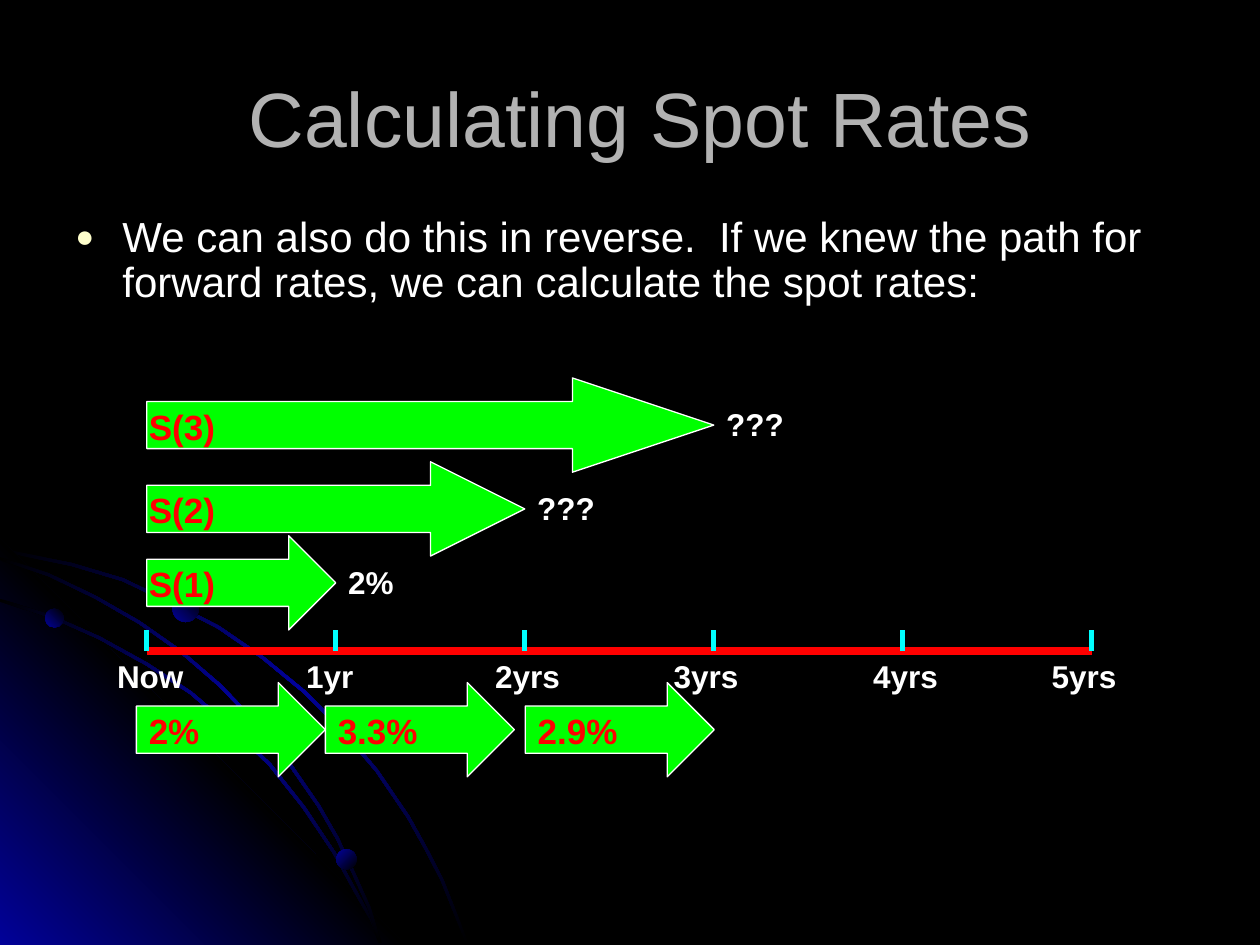
import math
from copy import deepcopy
from dataclasses import dataclass

from lxml import etree
from pptx import Presentation
from pptx.dml.color import RGBColor
from pptx.enum.shapes import MSO_CONNECTOR, MSO_SHAPE
from pptx.enum.text import MSO_ANCHOR, PP_ALIGN
from pptx.oxml.ns import qn
from pptx.util import Cm, Pt

STRAIGHT = MSO_CONNECTOR.STRAIGHT
ELLIPSE, RIGHT_ARROW = MSO_SHAPE.OVAL, MSO_SHAPE.RIGHT_ARROW
CENTER, LEFT = PP_ALIGN.CENTER, PP_ALIGN.LEFT
MIDDLE, TOP = MSO_ANCHOR.MIDDLE, MSO_ANCHOR.TOP


@dataclass(frozen=True)
class Theme:
    font: str = "Arial"
    black: str = "000000"
    glow: str = "010199"
    title: str = "B2B2B2"
    text: str = "FFFFFF"
    bullet: str = "FFFFCC"
    axis: str = "FF0000"
    tick: str = "00FFFF"
    arrow: str = "00FF00"
    rate: str = "FF0000"
    title_size: float = 44
    body_size: float = 24
    rate_size: float = 20
    label_size: float = 18


THEME = Theme()

# Timeline geometry in centimetres
START, YEAR, AXIS_Y, TICK_TOP = 2.96, 3.81, 13.12, 12.7
ARROW_HEIGHT, LABEL_DROP = 1.9, 0.42

# Label, distance left of its tick, width
TICKS = [("Now", 0.85, 2.1), ("1yr", 0.85, 1.7), ("2yrs", 0.85, 1.9),
         ("3yrs", 1.06, 1.9), ("4yrs", 0.85, 1.9), ("5yrs", 1.06, 1.9)]
# Years, top, value
SPOT_RATES = [(1, 10.8, "2%"), (2, 9.31, "???"), (3, 7.62, "???")]
# Left, value
FORWARD_RATES = [(2.75, "2%"), (6.56, "3.3%"), (10.59, "2.9%")]
FORWARD_TOP = 13.76

# Outer edges of the background orbits
OUTER_ORBIT = [(0, 11.05), (0.71, 11.2), (1.45, 11.35), (2.49, 11.66), (3.45, 12.12),
               (4.42, 12.62), (5.31, 13.23), (6.15, 13.92), (6.91, 14.68), (7.62, 15.52),
               (8.26, 16.46), (8.61, 17.09), (8.94, 17.73), (9.19, 18.36), (9.45, 19.02)]
INNER_ORBIT = [(0, 12.07), (1.04, 12.4), (2.01, 12.83), (2.97, 13.36), (3.86, 13.94),
               (4.67, 14.63), (5.46, 15.39), (6.15, 16.26), (6.76, 17.17), (7.26, 18.08),
               (7.52, 18.54), (7.7, 19.02)]
MIDDLE_ORBIT = [(0, 11.23), (0.99, 11.56), (1.93, 12.01), (2.82, 12.52), (3.66, 13.11),
                (4.45, 13.79), (5.18, 14.55), (5.82, 15.32), (6.45, 16.23), (6.83, 16.89),
                (7.16, 17.6), (7.47, 18.29), (7.7, 19.02)]
ORBIT_WIDTH = 0.06
# Left, top, diameter, gradient angle
PLANETS = [(0.91, 12.27, 0.38, 225), (6.78, 17.12, 0.41, 135), (3.48, 12.01, 0.53, 225)]


def rgb(color):
    return RGBColor.from_string(color)


def paint_gradient(shape, colors, angle):
    """Spread the colours evenly along the angle, without outline."""
    shape.shadow.inherit = False
    shape.line.fill.background()
    shape.fill.gradient()
    shape.fill.gradient_angle = angle
    stop_list = shape._element.spPr.find(qn("a:gradFill")).find(qn("a:gsLst"))
    while len(stop_list) < len(colors):
        stop_list.append(deepcopy(stop_list[0]))
    for index, (stop, color) in enumerate(zip(shape.fill.gradient_stops, colors)):
        stop.position = index / (len(colors) - 1)
        stop.color.rgb = rgb(color)


def add_outline(page, points, colors, angle):
    corners = [(Cm(x), Cm(y)) for x, y in points]
    builder = page.shapes.build_freeform(*corners[0])
    builder.add_line_segments(corners[1:], close=True)
    paint_gradient(builder.convert_to_shape(), colors, angle)


def add_orbit(page, edge):
    """Draw a thin band whose width turns from vertical to horizontal."""
    inner = []
    for index, (x, y) in enumerate(edge):
        turn = index / (len(edge) - 1) * math.pi / 2
        inner.append((x - ORBIT_WIDTH * math.sin(turn), y + ORBIT_WIDTH * math.cos(turn)))
    add_outline(page, edge + inner[::-1], [THEME.black, THEME.glow, THEME.black], 135)


def add_text(page, place, text, size, color, bold=False, align=LEFT, anchor=TOP, before=0):
    box = page.shapes.add_textbox(*map(Cm, place))
    frame = box.text_frame
    frame.word_wrap = True
    frame.vertical_anchor = anchor
    para = frame.paragraphs[0]
    para.alignment = align
    para.space_before = Pt(before)
    span = para.add_run()
    span.text = text
    span.font.name = THEME.font
    span.font.size = Pt(size)
    span.font.bold = bold
    span.font.color.rgb = rgb(color)
    return para


def add_label(page, left, top, width, text):
    add_text(page, (left, top, width, 1.02), text, THEME.label_size, THEME.text,
             bold=True, before=11.2)


def add_rate(page, left, top, text):
    add_text(page, (left, top, 2.54, 1.12), text, THEME.rate_size, THEME.rate,
             bold=True, before=12.5)


def add_bullet(para):
    props = para._p.get_or_add_pPr()
    props.set("marL", str(Cm(0.95)))
    props.set("indent", str(-Cm(0.95)))
    color = etree.SubElement(props, qn("a:buClr"))
    etree.SubElement(color, qn("a:srgbClr"), val=THEME.bullet)
    etree.SubElement(props, qn("a:buSzPct"), val="75000")
    etree.SubElement(props, qn("a:buFont"), typeface=THEME.font)
    etree.SubElement(props, qn("a:buChar"), char="●")


def add_line(page, x1, y1, x2, y2, color, width):
    line = page.shapes.add_connector(STRAIGHT, Cm(x1), Cm(y1), Cm(x2), Cm(y2))
    line.line.color.rgb = rgb(color)
    line.line.width = Pt(width)
    etree.SubElement(line._element.spPr, qn("a:effectLst"))


def add_arrow(page, left, top, years):
    arrow = page.shapes.add_shape(RIGHT_ARROW, Cm(left), Cm(top),
                                  Cm(years * YEAR), Cm(ARROW_HEIGHT))
    arrow.adjustments[0] = 0.5
    arrow.adjustments[1] = years / 2
    arrow.shadow.inherit = False
    arrow.fill.solid()
    arrow.fill.fore_color.rgb = rgb(THEME.arrow)
    arrow.line.color.rgb = rgb(THEME.text)
    arrow.line.width = Pt(0.75)


def add_background(page):
    page.background.fill.solid()
    page.background.fill.fore_color.rgb = rgb(THEME.black)
    add_orbit(page, OUTER_ORBIT)
    add_outline(page, [(8.18, 19.05), (0, 19.05), (0, 10.85)],
                [THEME.glow, THEME.black, THEME.glow], 225)
    add_orbit(page, INNER_ORBIT)
    add_orbit(page, MIDDLE_ORBIT)
    for left, top, size, angle in PLANETS:
        planet = page.shapes.add_shape(ELLIPSE, Cm(left), Cm(top), Cm(size), Cm(size))
        paint_gradient(planet, [THEME.black, THEME.glow], angle)


def add_timeline(page):
    add_line(page, START, AXIS_Y, START + 5 * YEAR, AXIS_Y, THEME.axis, 4.5)
    for index, (text, shift, width) in enumerate(TICKS):
        x = START + index * YEAR
        add_line(page, x, AXIS_Y, x, TICK_TOP, THEME.tick, 3)
        add_label(page, x - shift, AXIS_Y, width, text)


def main():
    deck = Presentation()
    deck.slide_width, deck.slide_height = Cm(25.4), Cm(19.05)
    page = deck.slides.add_slide(deck.slide_layouts[6])
    add_background(page)

    # Heading and statement
    add_text(page, (1.27, 0.76, 22.86, 3.18), " Calculating Spot Rates",
             THEME.title_size, THEME.title, align=CENTER, anchor=MIDDLE)
    statement = add_text(page, (1.27, 4.23, 22.66, 2.54),
                         "We can also do this in reverse.  If we knew the path for "
                         "forward rates, we can calculate the spot rates:",
                         THEME.body_size, THEME.text, before=6)
    statement.line_spacing = 0.9
    add_bullet(statement)

    add_timeline(page)

    # Spot rates above the timeline
    for years, top, value in SPOT_RATES:
        add_arrow(page, START, top, years)
        add_rate(page, START - 0.21, top + LABEL_DROP, f"S({years})")
        add_label(page, START + years * YEAR, top + LABEL_DROP, 3.18, value)

    # Forward rates below the timeline
    for left, value in FORWARD_RATES:
        add_arrow(page, left, FORWARD_TOP, 1)
        add_rate(page, left, FORWARD_TOP + LABEL_DROP, value)

    deck.save("out.pptx")


if __name__ == "__main__":
    main()
